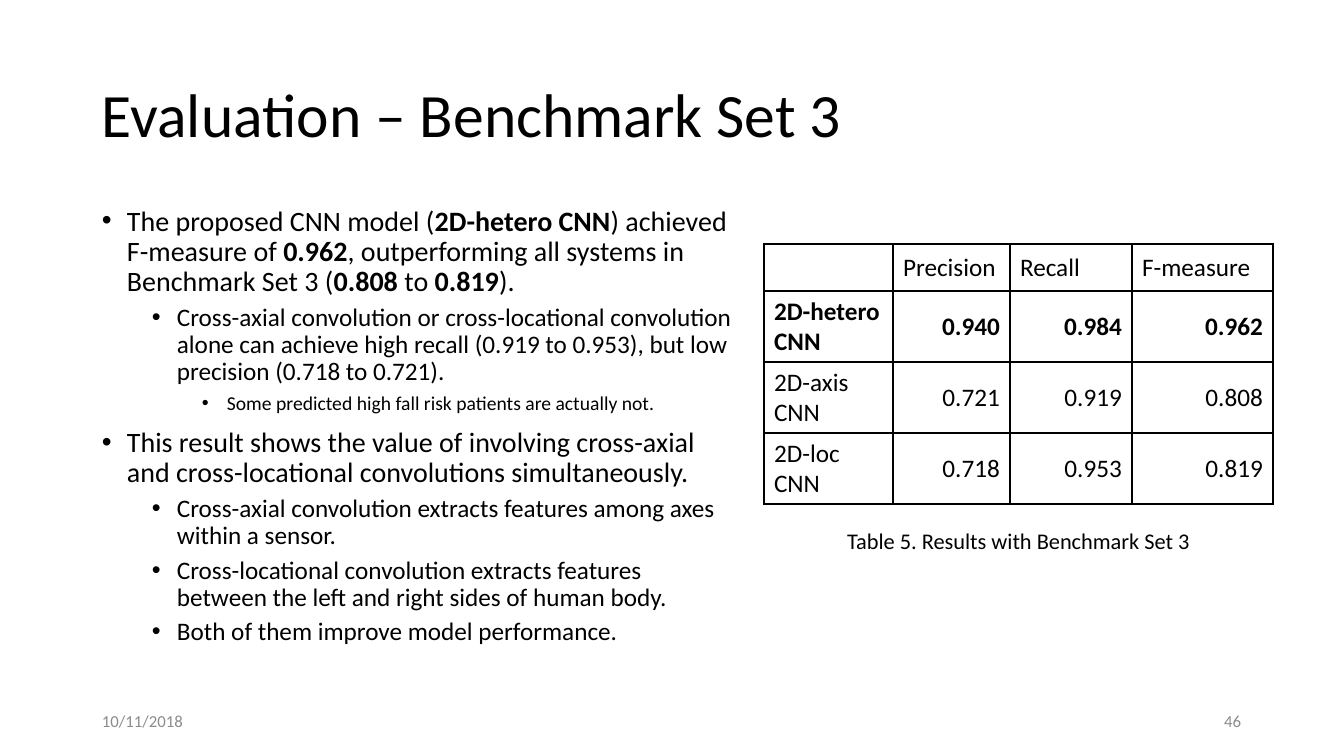
from lxml.etree import SubElement
from pptx import Presentation
from pptx.dml.color import RGBColor
from pptx.enum.text import MSO_ANCHOR, MSO_AUTO_SIZE, PP_ALIGN
from pptx.oxml.ns import qn
from pptx.util import Pt

EMU_PER_PX = 914400 / 100.8
COLORS = {"text": "000000", "muted": "8C8C8C", "border": "000000"}
LEVEL_SIZES = [20, 18, 14]
LEVEL_SPACES = [10, 5, 5]
INDENT = 25  # px

# Bullets: level and runs; a run is its text and whether it is bold
BULLETS = [
    (0, [("The proposed CNN model (", False), ("2D-hetero CNN", True),
         (") achieved F-measure of ", False), ("0.962", True),
         (", outperforming all systems in Benchmark Set 3 (", False),
         ("0.808 ", True), ("to ", False), ("0.819", True), (").", False)]),
    (1, [("Cross-axial convolution or cross-locational convolution alone can "
          "achieve high recall (0.919 to 0.953), but low precision "
          "(0.718 to 0.721).", False)]),
    (2, [("Some predicted high fall risk patients are actually not.", False)]),
    (0, [("This result shows the value of involving cross-axial and "
          "cross-locational convolutions simultaneously.", False)]),
    (1, [("Cross-axial convolution extracts features among axes within a "
          "sensor.", False)]),
    (1, [("Cross-locational convolution extracts features between the left "
          "and right sides of human body.", False)]),
    (1, [("Both of them improve model performance.", False)]),
]

RESULTS = [
    ["", "Precision", "Recall", "F-measure"],
    ["2D-hetero CNN", "0.940", "0.984", "0.962"],
    ["2D-axis CNN", "0.721", "0.919", "0.808"],
    ["2D-loc CNN", "0.718", "0.953", "0.819"],
]
BEST_ROW = 1


def px(length):
    return round(length * EMU_PER_PX)


class SlideBuilder:
    """Holds the style and the current slide."""

    def __init__(self, slide, font="Calibri"):
        self.slide = slide
        self.font = font

    def add_run(self, paragraph, text, size, bold=False, color="text"):
        run = paragraph.add_run()
        run.text = text
        run.font.name = self.font
        run.font.size = Pt(size)
        run.font.bold = bold
        run.font.color.rgb = RGBColor.from_string(COLORS[color])

    def add_frame(self, left, top, width, height, anchor=MSO_ANCHOR.TOP):
        shape = self.slide.shapes.add_textbox(
            px(left), px(top), px(width), px(height))
        frame = shape.text_frame
        frame.word_wrap = True
        frame.vertical_anchor = anchor
        return frame

    def add_line(self, box, text, size, align=PP_ALIGN.LEFT, color="text",
                 anchor=MSO_ANCHOR.MIDDLE):
        frame = self.add_frame(*box, anchor)
        paragraph = frame.paragraphs[0]
        paragraph.alignment = align
        self.add_run(paragraph, text, size, color=color)
        return frame

    def add_bullets(self, box, bullets):
        frame = self.add_frame(*box)
        for index, (level, runs) in enumerate(bullets):
            paragraph = frame.add_paragraph() if index else frame.paragraphs[0]
            paragraph.level = level
            paragraph.line_spacing = 0.9
            if index:
                paragraph.space_before = Pt(LEVEL_SPACES[level])
            properties = paragraph._p.get_or_add_pPr()
            properties.set("marL", str(px(INDENT * (2 * level + 1))))
            properties.set("indent", str(px(-INDENT)))
            SubElement(properties, qn("a:buFont"), typeface="Arial")
            SubElement(properties, qn("a:buChar"), char="•")
            for text, bold in runs:
                self.add_run(paragraph, text, LEVEL_SIZES[level], bold)

    def add_borders(self, cell):
        properties = cell._tc.get_or_add_tcPr()
        for side in ("a:lnL", "a:lnR", "a:lnT", "a:lnB"):
            line = SubElement(properties, qn(side), w=str(Pt(1)))
            fill = SubElement(line, qn("a:solidFill"))
            SubElement(fill, qn("a:srgbClr"), val=COLORS["border"])

    def add_table(self, left, top, widths, heights, rows):
        table = self.slide.shapes.add_table(
            len(rows), len(widths), px(left), px(top),
            px(sum(widths)), px(sum(heights))).table
        table.first_row = table.horz_banding = False
        for column, width in zip(table.columns, widths):
            column.width = px(width)
        for row, height in zip(table.rows, heights):
            row.height = px(height)
        for row_index, row in enumerate(rows):
            for column_index, text in enumerate(row):
                cell = table.cell(row_index, column_index)
                cell.vertical_anchor = MSO_ANCHOR.MIDDLE
                self.add_borders(cell)
                cell.fill.background()
                paragraph = cell.text_frame.paragraphs[0]
                if row_index and column_index:
                    paragraph.alignment = PP_ALIGN.RIGHT
                if text:
                    self.add_run(paragraph, text, 18, row_index == BEST_ROW)


def main():
    presentation = Presentation()
    presentation.slide_width = px(1344)
    presentation.slide_height = px(756)
    builder = SlideBuilder(
        presentation.slides.add_slide(presentation.slide_layouts[6]))

    # Title and bullets
    builder.add_line((92, 40, 1159, 146), "Evaluation – Benchmark Set 3", 44)
    builder.add_bullets((92, 202, 650, 499), BULLETS)

    # Results table with its caption
    builder.add_table(764, 244, [129, 117, 122, 141], [47, 71, 71, 71], RESULTS)
    caption = builder.add_line(
        (764, 522, 509, 37), "Table 5. Results with Benchmark Set 3", 16,
        PP_ALIGN.CENTER, anchor=MSO_ANCHOR.TOP)
    caption.auto_size = MSO_AUTO_SIZE.SHAPE_TO_FIT_TEXT

    # Footer
    builder.add_line((92, 701, 302, 40), "10/11/2018", 12, color="muted")
    builder.add_line((949, 701, 302, 40), "46", 12, PP_ALIGN.RIGHT, "muted")

    presentation.save("out.pptx")


if __name__ == "__main__":
    main()
